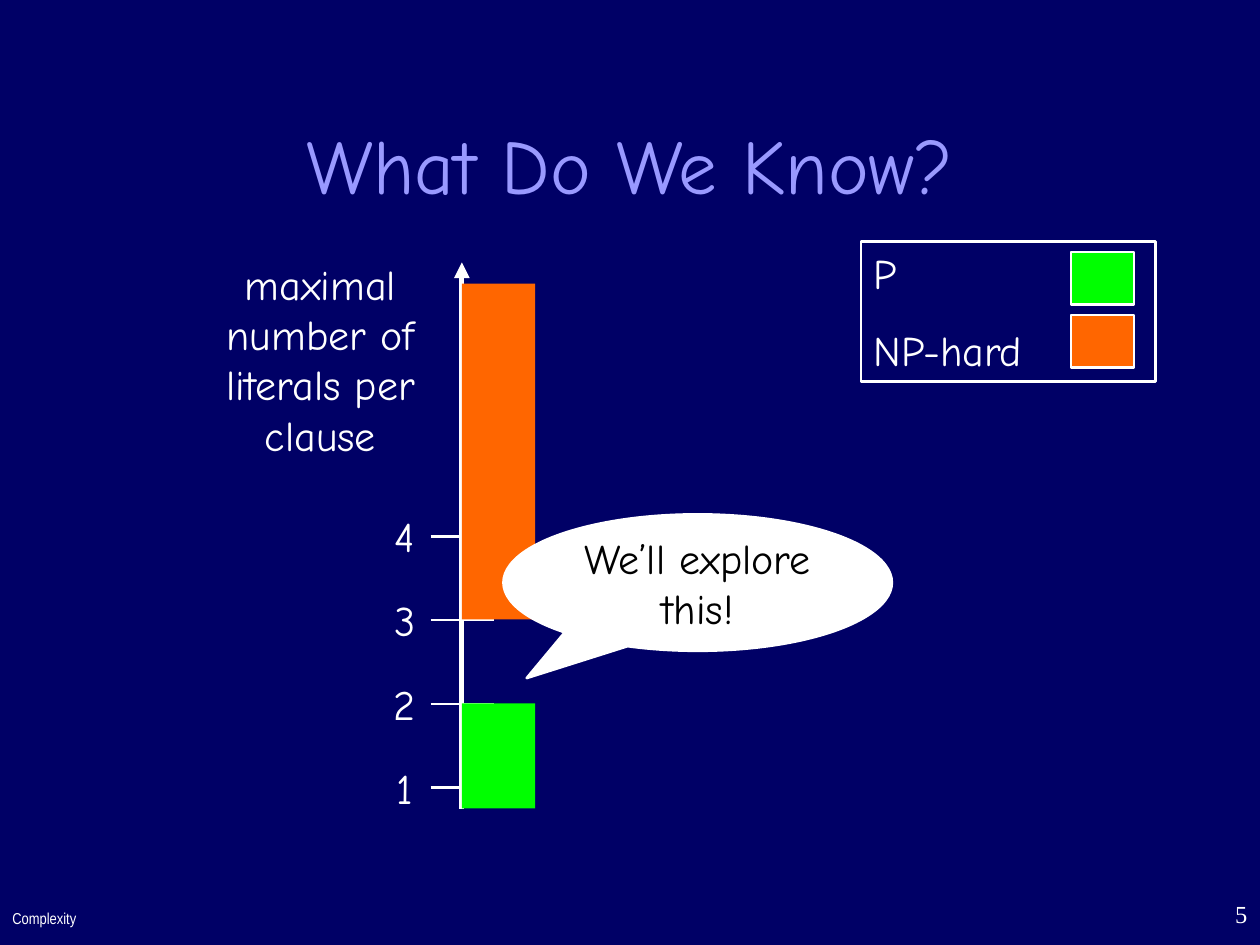
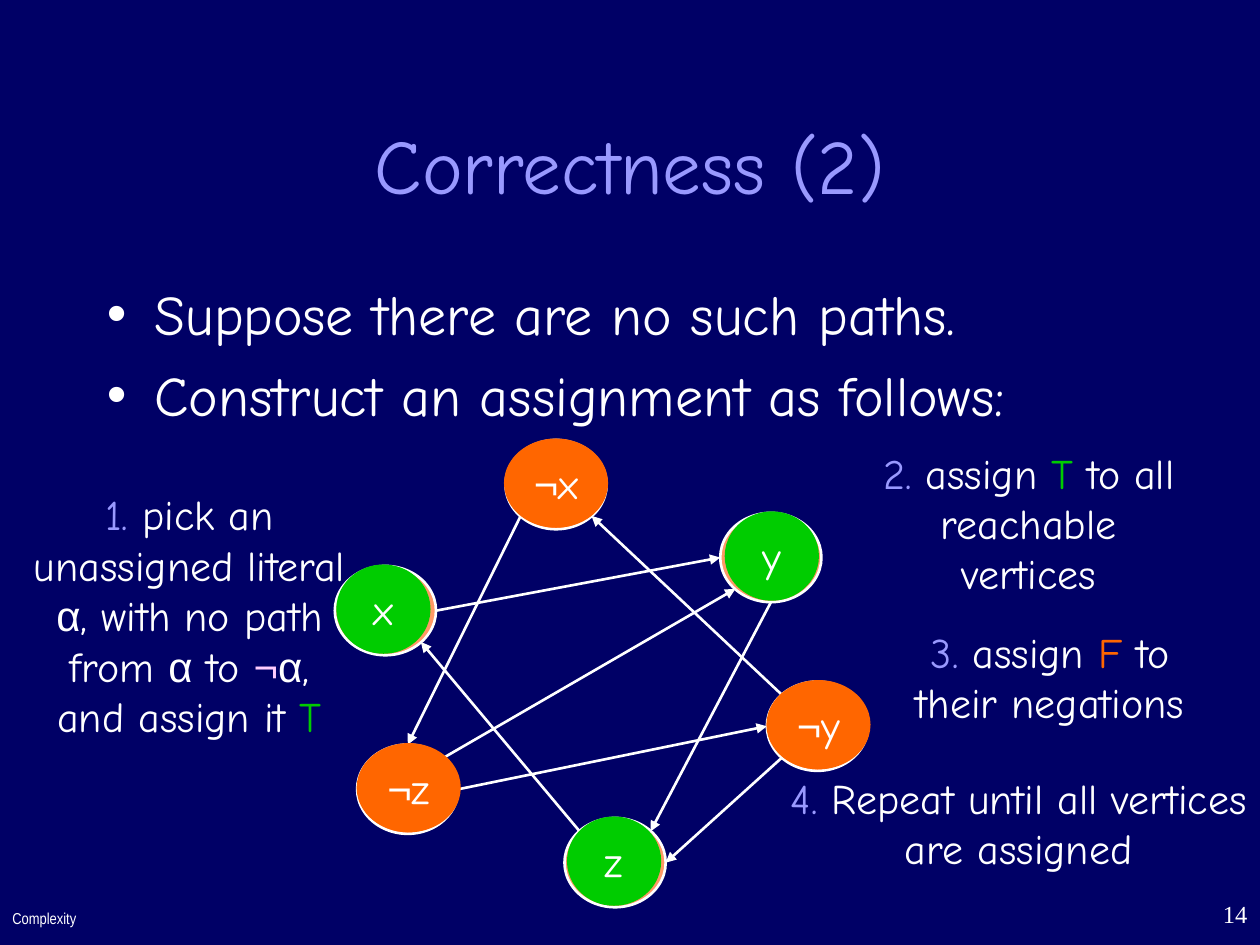
from itertools import groupby
from lxml import etree
from pptx import Presentation
from pptx.dml.color import RGBColor
from pptx.enum.shapes import MSO_CONNECTOR, MSO_SHAPE
from pptx.enum.text import MSO_ANCHOR, MSO_AUTO_SIZE, PP_ALIGN
from pptx.oxml.ns import qn
from pptx.util import Cm, Pt

RECT, OVAL = MSO_SHAPE.RECTANGLE, MSO_SHAPE.OVAL
BUBBLE = MSO_SHAPE.OVAL_CALLOUT
LEFT, MID, RIGHT = PP_ALIGN.LEFT, PP_ALIGN.CENTER, PP_ALIGN.RIGHT
TOP, CENTER = MSO_ANCHOR.TOP, MSO_ANCHOR.MIDDLE
STRAIGHT = MSO_CONNECTOR.STRAIGHT

NAVY, LILAC, WHITE, BLACK = "000066", "9999FF", "FFFFFF", "000000"
LIME, GREEN, ORANGE, PEACH, PINK = "00FF00", "00CC00", "FF6600", "FF9966", "FFCCFF"
FONT = "Comic Neue"
rgb = RGBColor.from_string


def put(slide, text, box, kind=None, hold=None, fill=None, edge=None, size=24,
        font=FONT, color=WHITE, align=MID, anchor=TOP, before=15, wrap=True):
    """Place text, a list of paragraphs made of (words, colour) runs, in a box."""
    box = [Cm(n) for n in box]
    if hold:
        shape = hold
        shape.left, shape.top, shape.width, shape.height = box
    elif kind:
        shape = slide.shapes.add_shape(kind, *box)
        shape.shadow.inherit = False
        if fill:
            shape.fill.solid()
            shape.fill.fore_color.rgb = rgb(fill)
        else:
            shape.fill.background()
        if edge:
            shape.line.color.rgb = rgb(edge)
            shape.line.width = Pt(1.5)
        else:
            shape.line.fill.background()
    else:
        shape = slide.shapes.add_textbox(*box)
    frame = shape.text_frame
    frame.word_wrap = wrap
    frame.auto_size = MSO_AUTO_SIZE.NONE
    frame.vertical_anchor = anchor
    paras = [text] if isinstance(text, str) else text
    for i, para in enumerate(paras):
        p = frame.add_paragraph() if i else frame.paragraphs[0]
        p.alignment = align
        p.space_before = Pt(before)
        for words, tone in [(para, color)] if isinstance(para, str) else para:
            # Logic and Greek signs are set in Arial
            for sign, chars in groupby(words, lambda c: c in "¬α"):
                run = p.add_run()
                run.text = "".join(chars)
                run.font.size = Pt(size)
                run.font.name = "Arial" if sign else font
                run.font.color.rgb = rgb(tone)
    return shape


def link(slide, start, end, width=1.5, arrow=False):
    """Draw a white straight line, with an arrowhead at its end if asked."""
    line = slide.shapes.add_connector(STRAIGHT, *[Cm(n) for n in (*start, *end)])
    line.line.color.rgb = rgb(WHITE)
    line.line.width = Pt(width)
    props = line.element.spPr
    if arrow:
        etree.SubElement(props.find(qn("a:ln")), qn("a:tailEnd"), type="triangle")
    etree.SubElement(props, qn("a:effectLst"))


prs = Presentation()
prs.slide_width, prs.slide_height = Cm(25.4), Cm(19.05)
back = prs.slide_master.background.fill
back.solid()
back.fore_color.rgb = rgb(NAVY)

# Shared title and footer
pages = []
for layout, title, num in ((5, "What Do We Know?", "5"), (1, "Correctness (2)", "14")):
    page = prs.slides.add_slide(prs.slide_layouts[layout])
    put(page, title, (1.9, 1.7, 21.6, 3.18), hold=page.shapes.title, size=44,
        color=LILAC, anchor=CENTER, before=0)
    put(page, "Complexity", (0, 18.2, 2.54, 0.85), size=9, font="Arial Narrow",
        align=LEFT, before=0)
    put(page, num, (21.59, 18, 3.81, 1.05), size=14, font="Times New Roman",
        align=RIGHT, before=0)
    pages.append(page)
know, proof = pages

# Axis with ticks
axis = 9.31
link(know, (axis, 16.3), (axis, 5.29), width=3, arrow=True)
put(know, "maximal number of literals per clause", (3.18, 5.08, 6.56, 4.32))
for n in range(1, 5):
    y = 15.88 - (n - 1) * 1.69
    link(know, (axis - 0.63, y), (axis + 0.64, y))
    put(know, str(n), (7.42, y - 0.64, 1.48, 1.27))

# Bars along the axis
put(know, "", (axis, 14.18, 1.48, 2.12), kind=RECT, fill=LIME)
put(know, "", (axis, 5.72, 1.48, 6.77), kind=RECT, fill=ORANGE)

# Legend
put(know, ["P", "NP-hard"], (17.36, 4.87, 5.93, 2.82), kind=RECT, edge=WHITE, align=LEFT)
for y, tone in ((5.08, LIME), (6.35, ORANGE)):
    put(know, "", (21.59, y, 1.27, 1.06), kind=RECT, fill=tone, edge=WHITE)

# Speech bubble
bubble = put(know, "We’ll explore this!", (10.15, 10.37, 7.83, 2.75), kind=BUBBLE,
             fill=WHITE, edge=WHITE, color=BLACK, anchor=CENTER)
bubble.adjustments[0], bubble.adjustments[1] = -0.44, 0.7

# Bullets
body = put(proof, ["Suppose there are no such paths.", "Construct an assignment as follows:"],
           (1.9, 5.5, 21.6, 13.13), hold=proof.placeholders[1], size=32, align=LEFT, before=8)
for p in body.text_frame.paragraphs:
    props = p._p.get_or_add_pPr()
    props.set("marL", str(Cm(0.96)))
    props.set("indent", str(-Cm(0.96)))

# Vertices: centre, colour, width and shift of the coloured disc
nodes = {
    "¬x": (11.21, 9.77, ORANGE, 2.1, 0),
    "y": (15.54, 11.24, GREEN, 1.9, 0.02),
    "x": (7.77, 12.31, GREEN, 1.9, -0.04),
    "¬z": (8.22, 15.91, ORANGE, 2.1, 0.02),
    "z": (12.4, 17.39, GREEN, 1.9, -0.02),
    "¬y": (16.48, 14.64, ORANGE, 2.1, 0.02),
}
wide, high = 2.04, 1.8
for x, y, *_ in nodes.values():
    put(proof, "", (x - wide / 2, y - high / 2, wide, high), kind=OVAL, fill=PEACH, edge=WHITE)

# Edges run between compass points on the vertices
edges = ("x E y W", "¬y NW ¬x SE", "¬z E ¬y W", "y S z NE",
         "z NW x SE", "¬x SW ¬z N", "¬z NE y SW", "¬y SW z E")
for edge in edges:
    a, out, b, into = edge.split()
    ends = []
    for name, side in ((a, out), (b, into)):
        x, y = nodes[name][:2]
        reach = 0.5 if len(side) == 1 else 0.35
        ends.append((x + wide * reach * (("E" in side) - ("W" in side)),
                     y + high * reach * (("S" in side) - ("N" in side))))
    link(proof, *ends, arrow=True)

# Coloured discs
for name, (x, y, tone, w, shift) in nodes.items():
    put(proof, name, (x + shift - w / 2, y - 0.03 - high / 2, w, high), kind=OVAL,
        fill=tone, anchor=CENTER, wrap=False)

# Steps
steps = (
    ((0.43, 9.73, 6.78, 6.35),
     [("1.", LILAC), (" pick an unassigned literal α, with no path from α to ", WHITE),
      ("¬", PINK), ("α, and assign it ", WHITE), ("T", GREEN)]),
    ((17.35, 8.89, 6.78, 3.3),
     [("2.", LILAC), (" assign ", WHITE), ("T ", GREEN), ("to all reachable vertices", WHITE)]),
    ((17.78, 12.5, 6.78, 2.29),
     [("3.", LILAC), (" assign ", WHITE), ("F ", ORANGE), ("to their negations", WHITE)]),
    ((15.67, 15.44, 9.73, 2.29),
     [("4.", LILAC), (" Repeat until all vertices are assigned", WHITE)]),
)
for box, runs in steps:
    put(proof, [runs], box)

prs.save("out.pptx")
